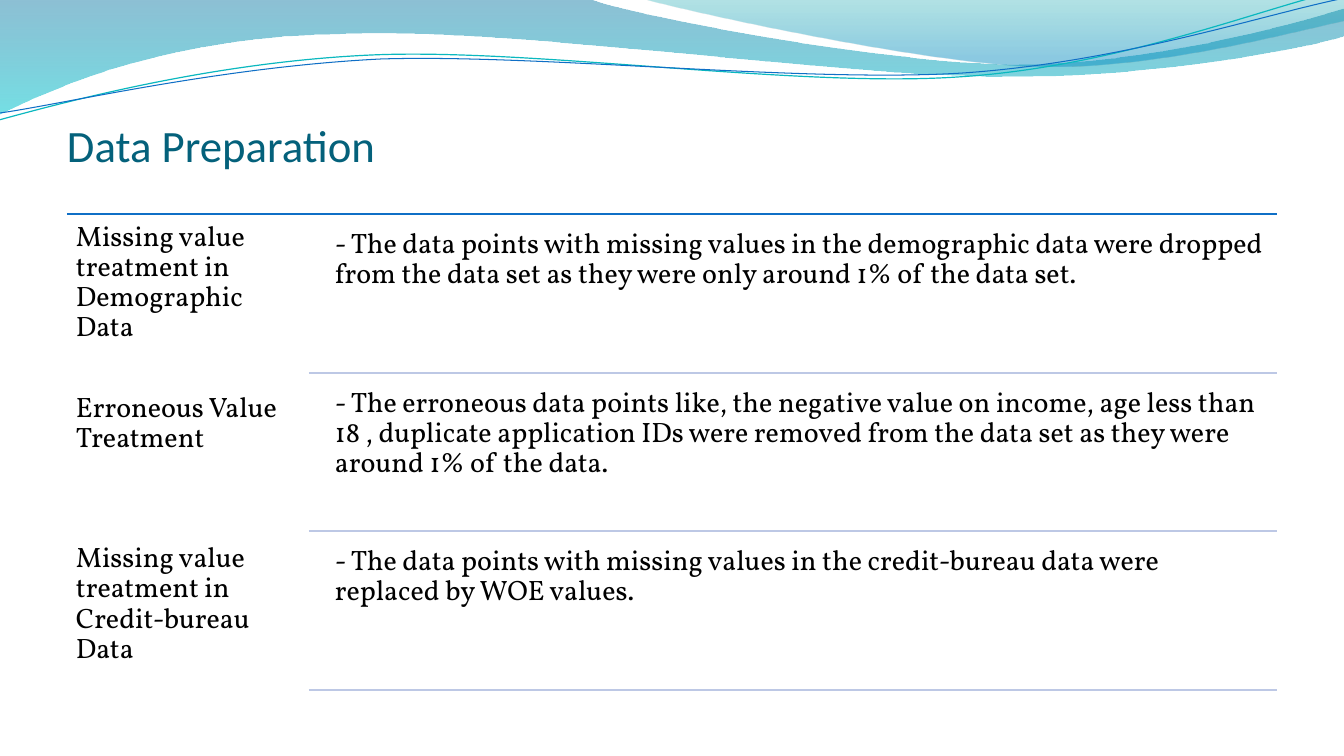
import pptx
import pptx.util
import pptx.dml.color
import pptx.enum.shapes
import pptx.enum.text
import pptx.oxml
import pptx.oxml.ns
import lxml.etree

RGB = pptx.dml.color.RGBColor
SCALE = 914400 / 100.8
NS = pptx.oxml.ns.nsdecls("a")
qn = pptx.oxml.ns.qn

TITLE = RGB(0x04, 0x61, 0x7B)
BLACK = RGB(0, 0, 0)
BLUE = RGB(0x0F, 0x6F, 0xC6)
TEAL = RGB(0x0A, 0xB8, 0xBF)
PALE = RGB(0xBD, 0xC8, 0xE5)
DEEP_BLUE = RGB(0x00, 0x74, 0xA1)
AQUA = RGB(0x00, 0xC6, 0xCF)
DEEP_TEAL = RGB(0x00, 0xA1, 0xA9)
SKY = RGB(0x00, 0x8B, 0xBF)

LEFT, RIGHT, TOP = 67, 1277, 214
LABEL_W, RULE_X, TEXT_X, TEXT_TOP = 242, 309, 327, 221
PITCH = 158.6

# Each outline lists points (2 numbers) and Bezier curves (6 numbers).
# Gradient stops are position %, colour, opacity %.
WAVES = [
    ([(0, 0), (592, 0), (639, 17, 892, 64, 1019, 64), (1146, 64, 1288, 26, 1344, 9),
      (1346, 36), (1322, 44, 1169, 77, 1002, 76), (836, 76, 513, 28, 346, 34),
      (173, 36, 61, 84, -1, 114)],
     [(0, DEEP_BLUE, 45), (100, AQUA, 55)]),
    ([(644, 0), (684, 11, 916, 62, 1033, 66), (1150, 70, 1292, 32, 1344, 21), (1344, 0)],
     [(0, DEEP_TEAL, 30), (80, SKY, 45)]),
]
STRANDS = [
    ([(-1, 120), (65, 102, 213, 62, 372, 55), (531, 48, 796, 88, 958, 77),
      (1119, 67, 1262, 8, 1342, -10)], TEAL, 0.85),
    ([(0, 113), (64, 104, 220, 67, 381, 59), (541, 54, 802, 83, 963, 73),
      (1124, 62, 1265, 14, 1345, -2)], BLUE, 0.75),
]
# Label, space before the label in points, description
ROWS = [
    ("Missing value treatment in Demographic Data", 0,
     "- The data points with missing values in the demographic data were dropped "
     "from the data set as they were only around 1% of the data set."),
    ("Erroneous Value Treatment", 36,
     "- The erroneous data points like, the negative value on income, age less than 18 , "
     "duplicate application IDs were removed from the data set as they were around 1% "
     "of the data."),
    ("Missing value treatment in Credit-bureau Data", 64,
     "- The data points with missing values in the credit-bureau data were replaced "
     "by WOE values."),
]


def px(n):
    """Turn pixels into EMU."""
    return pptx.util.Emu(round(n * SCALE))


def row_y(start, i):
    """Return the whole-pixel position of row i, counted from start."""
    return round(start + i * PITCH)


def set_all(obj, **values):
    """Set every given attribute on an object."""
    for name, value in values.items():
        setattr(obj, name, value)


def add_outline(slide, outline, close):
    """Add a freeform without a shadow, joining line triples into curves."""
    points = [(px(x), px(y)) for part in outline for x, y in zip(part[::2], part[1::2])]
    builder = slide.shapes.build_freeform(*points[0], scale=1.0)
    builder.add_line_segments(points[1:], close=close)
    sp = builder.convert_to_shape()
    sp.shadow.inherit = False
    lines = iter(list(sp._element.iter(qn("a:lnTo"))))
    for part in outline[1:]:
        first = next(lines)
        if len(part) == 6:
            first.tag = qn("a:cubicBezTo")
            for _ in range(2):
                line = next(lines)
                first.append(line[0])
                line.getparent().remove(line)
    return sp


def add_wave(slide, outline, stops):
    """Add a band filled with a translucent top-to-bottom gradient."""
    sp = add_outline(slide, outline, True)
    sp.line.fill.background()
    sp.fill.background()
    gs = "".join(
        f'<a:gs pos="{pos * 1000}"><a:srgbClr val="{color}">'
        f'<a:alpha val="{alpha * 1000}"/></a:srgbClr></a:gs>'
        for pos, color, alpha in stops)
    grad = pptx.oxml.parse_xml(
        f'<a:gradFill {NS} rotWithShape="1"><a:gsLst>{gs}</a:gsLst>'
        '<a:lin ang="5400000" scaled="0"/></a:gradFill>')
    sp_pr = sp._element.spPr
    sp_pr.replace(sp_pr.find(qn("a:noFill")), grad)


def add_strand(slide, outline, color, width):
    """Add a thin open curve."""
    sp = add_outline(slide, outline, False)
    sp.fill.background()
    sp.line.color.rgb = color
    sp.line.width = pptx.util.Pt(width)


def add_rule(slide, x, y, color):
    """Add a horizontal rule that runs to the right margin."""
    line = slide.shapes.add_connector(
        pptx.enum.shapes.MSO_CONNECTOR.STRAIGHT, px(x), px(y), px(RIGHT), px(y))
    line.line.color.rgb = color
    line.line.width = pptx.util.Pt(2)
    lxml.etree.SubElement(line._element.spPr, qn("a:effectLst"))


def add_text(slide, x, y, w, h, items):
    """Add a text box from pairs of text and space before."""
    tf = slide.shapes.add_textbox(px(x), px(y), px(w), px(h)).text_frame
    set_all(tf, word_wrap=True, margin_left=px(8), margin_right=px(8),
            margin_top=px(8), margin_bottom=px(8))
    for i, (text, before) in enumerate(items):
        p = tf.add_paragraph() if i else tf.paragraphs[0]
        set_all(p, line_spacing=0.9, space_before=pptx.util.Pt(before))
        r = p.add_run()
        r.text = text
        set_all(r.font, name="Vollkorn", size=pptx.util.Pt(20))
        r.font.color.rgb = BLACK


def set_title(slide, text):
    """Place and format the title placeholder."""
    sp = slide.shapes.title
    set_all(sp, left=px(LEFT), top=px(46), width=px(RIGHT - LEFT), height=px(126))
    tf = sp.text_frame
    set_all(tf, margin_left=0, margin_right=0, margin_top=px(5), margin_bottom=0,
            word_wrap=True, auto_size=pptx.enum.text.MSO_AUTO_SIZE.NONE,
            vertical_anchor=pptx.enum.text.MSO_ANCHOR.BOTTOM)
    p = tf.paragraphs[0]
    p.alignment = pptx.enum.text.PP_ALIGN.LEFT
    r = p.add_run()
    r.text = text
    set_all(r.font, name="Calibri", size=pptx.util.Pt(32))
    r.font.color.rgb = TITLE


def main():
    """Build the slide and save it."""
    prs = pptx.Presentation()
    set_all(prs, slide_width=px(1344), slide_height=px(756))
    slide = prs.slides.add_slide(prs.slide_layouts[5])
    for outline, stops in WAVES:
        add_wave(slide, outline, stops)
    for outline, color, width in STRANDS:
        add_strand(slide, outline, color, width)
    set_title(slide, "Data Preparation")

    add_rule(slide, LEFT, TOP, BLUE)
    labels = [(label, before) for label, before, _ in ROWS]
    add_text(slide, LEFT + 1, TOP, LABEL_W, 484, labels)
    for i, (_, _, text) in enumerate(ROWS):
        add_text(slide, TEXT_X, row_y(TEXT_TOP, i), RIGHT - TEXT_X, 151, [(text, 0)])
        add_rule(slide, RULE_X, row_y(TOP, i + 1), PALE)
    prs.save("out.pptx")


main()
